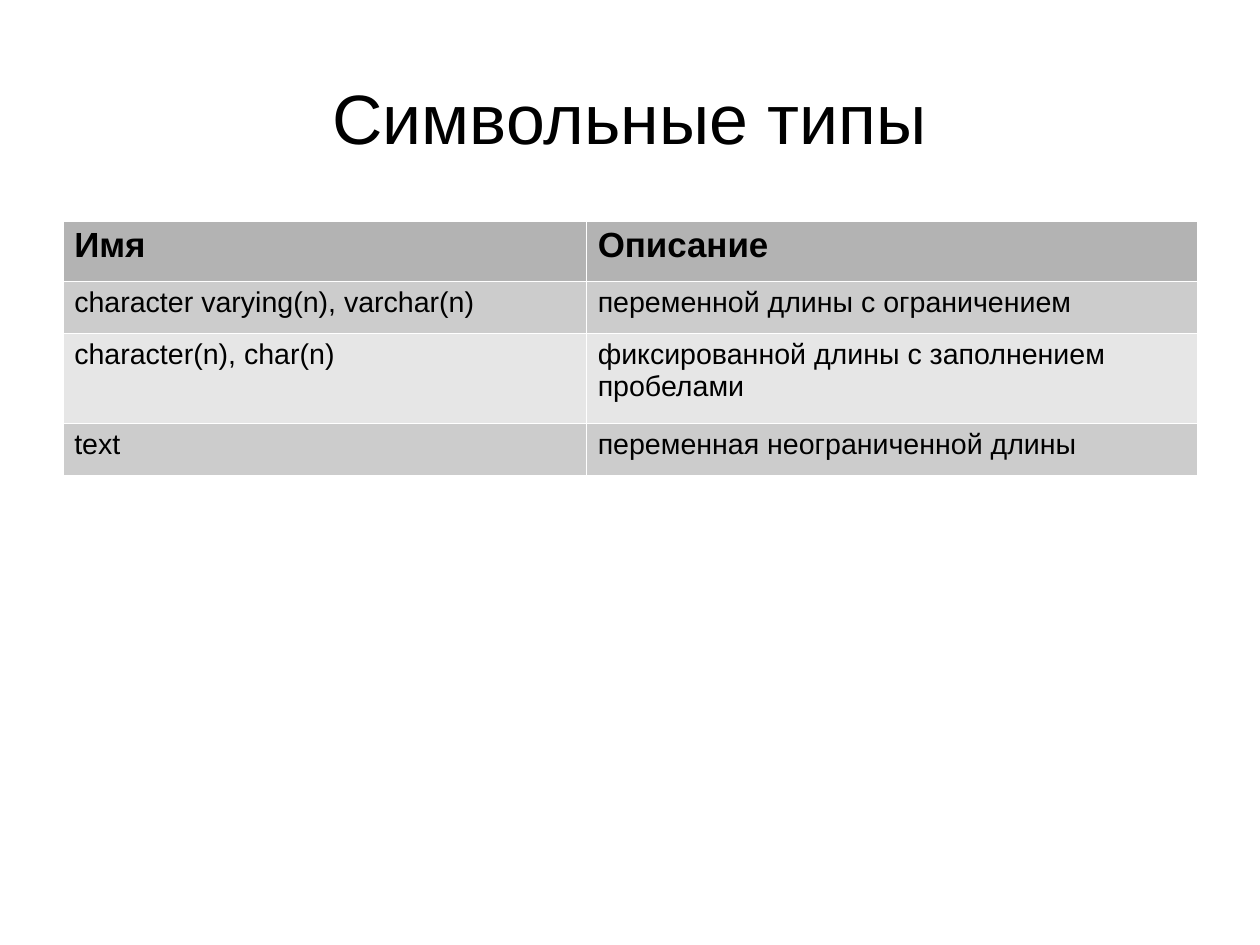
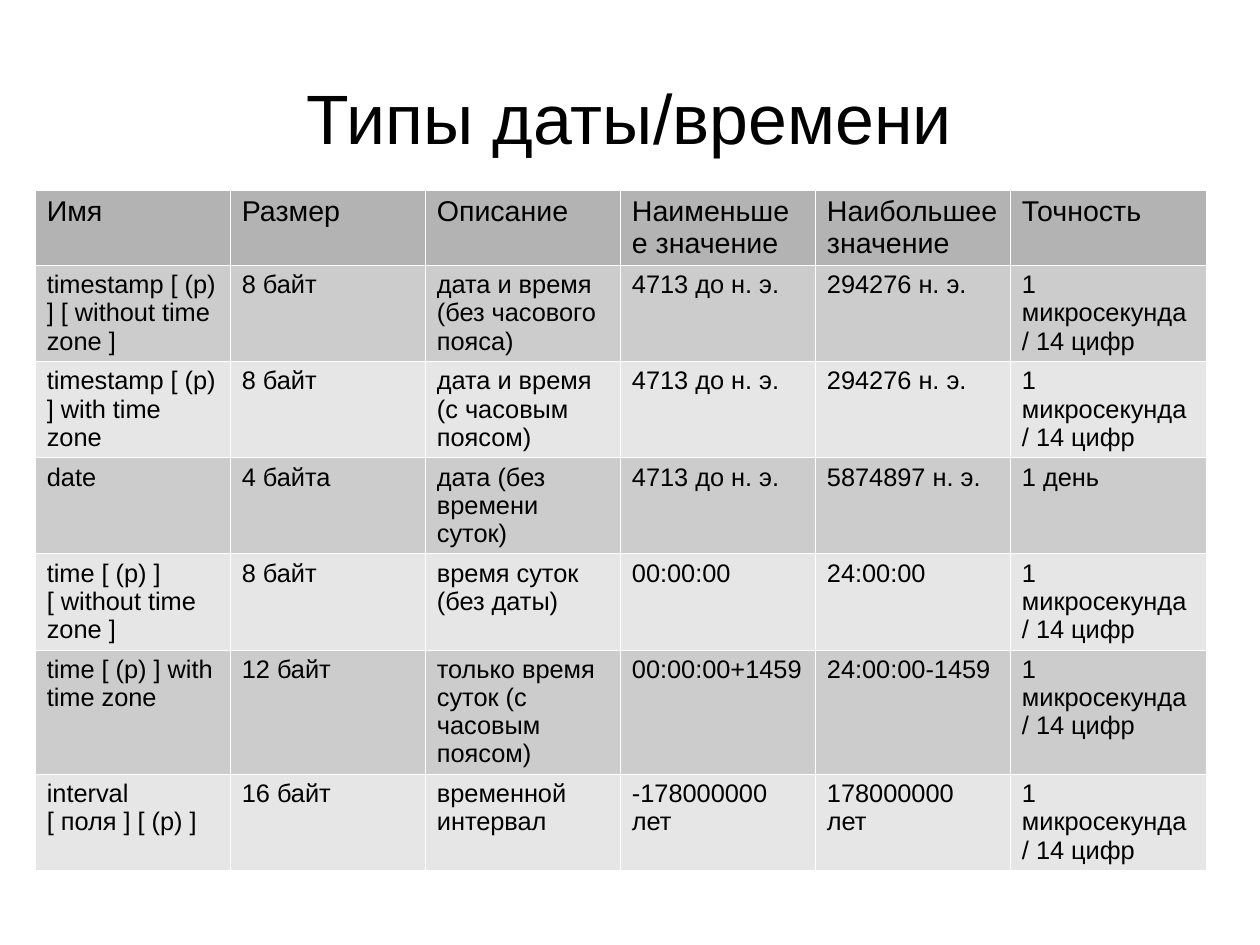
from pptx import Presentation
from pptx.dml.color import RGBColor
from pptx.enum.text import MSO_ANCHOR as Anchor, MSO_AUTO_SIZE as Fit, PP_ALIGN as Align
from pptx.util import Cm, Inches, Pt
from lxml import etree

BLACK = RGBColor(0x00, 0x00, 0x00)
WHITE = RGBColor(0xFF, 0xFF, 0xFF)
HEAD = RGBColor(0xB3, 0xB3, 0xB3)
ODD = RGBColor(0xCC, 0xCC, 0xCC)
EVEN = RGBColor(0xE6, 0xE6, 0xE6)
FONT = "Arial"
NS = "http://schemas.openxmlformats.org/drawingml/2006/main"


def style(par, size, bold=False):
    for run in par.runs:
        font = run.font
        font.name, font.size, font.bold = FONT, Pt(size), bold
        font.color.rgb = BLACK


def border(cell):
    # Border lines must come before the fill in the cell properties
    props = cell._tc.get_or_add_tcPr()
    for i, side in enumerate(("lnL", "lnR", "lnT", "lnB")):
        line = etree.fromstring(
            f'<a:{side} xmlns:a="{NS}" w="720"><a:solidFill>'
            f'<a:srgbClr val="{WHITE}"/></a:solidFill></a:{side}>')
        props.insert(i, line)


# Content of the slides
MICRO = "1 микросекунда / 14 цифр"
BC = "4713 до н. э."
AD = "294276 н. э."

chars = [
    ("Имя", "Описание"),
    ("character varying(n), varchar(n)", "переменной длины с ограничением"),
    ("character(n), char(n)", "фиксированной длины с заполнением пробелами"),
    ("text", "переменная неограниченной длины"),
]
dates = [
    ("Имя", "Размер", "Описание", "Наименьшее значение",
     "Наибольшее значение", "Точность"),
    ("timestamp [ (p) ] [ without time zone ]", "8 байт",
     "дата и время (без часового пояса)", BC, AD, MICRO),
    ("timestamp [ (p) ] with time zone", "8 байт",
     "дата и время (с часовым поясом)", BC, AD, MICRO),
    ("date", "4 байта", "дата (без времени суток)", BC,
     "5874897 н. э.", "1 день"),
    ("time [ (p) ] [ without time zone ]", "8 байт",
     "время суток (без даты)", "00:00:00", "24:00:00", MICRO),
    ("time [ (p) ] with time zone", "12 байт",
     "только время суток (с часовым поясом)",
     "00:00:00+1459", "24:00:00-1459", MICRO),
    ("interval [ поля ] [ (p) ]", "16 байт", "временной интервал",
     "-178000000 лет", "178000000 лет", MICRO),
]

# Title, rows, left, top, column widths, row heights, head size, body size, bold head
pages = [
    ("Символьные типы", chars, 0.55, 1.93, [4.58, 5.34],
     [0.53, 0.45, 0.79, 0.46], 22, 18, True),
    ("Типы даты/времени", dates, 0.31, 1.66, [10.24 / 6] * 6,
     [0.65] + [0.84] * 4 + [1.08, 0.84], 18, 16, False),
]

# Custom page size, so the template's screen preset is dropped
deck = Presentation()
deck.slide_width, deck.slide_height = Cm(28), Cm(21)
deck.element.sldSz.attrib.pop("type", None)

for name, rows, left, top, wides, highs, big, small, bold in pages:
    slide = deck.slides.add_slide(deck.slide_layouts[5])

    # Title
    title = slide.shapes.title
    title.left, title.top = Inches(0.55), Inches(0.33)
    title.width, title.height = Inches(9.92), Inches(1.38)
    frame = title.text_frame
    frame.text = name
    frame.auto_size, frame.word_wrap = Fit.NONE, True
    frame.vertical_anchor = Anchor.MIDDLE
    frame.margin_left = frame.margin_right = 0
    frame.margin_top = frame.margin_bottom = 0
    frame.paragraphs[0].alignment = Align.CENTER
    style(frame.paragraphs[0], 44)

    # Table
    table = slide.shapes.add_table(
        len(rows), len(wides), Inches(left), Inches(top),
        Inches(sum(wides)), Inches(sum(highs))).table
    for col, wide in zip(table.columns, wides):
        col.width = Inches(wide)
    for r, (texts, high) in enumerate(zip(rows, highs)):
        table.rows[r].height = Inches(high)
        for c, text in enumerate(texts):
            cell = table.cell(r, c)
            cell.text_frame.text = text
            par = cell.text_frame.paragraphs[0]
            style(par, small if r else big, bold and r == 0)
            cell.fill.solid()
            cell.fill.fore_color.rgb = (ODD if r % 2 else EVEN) if r else HEAD
            border(cell)

deck.save("out.pptx")
